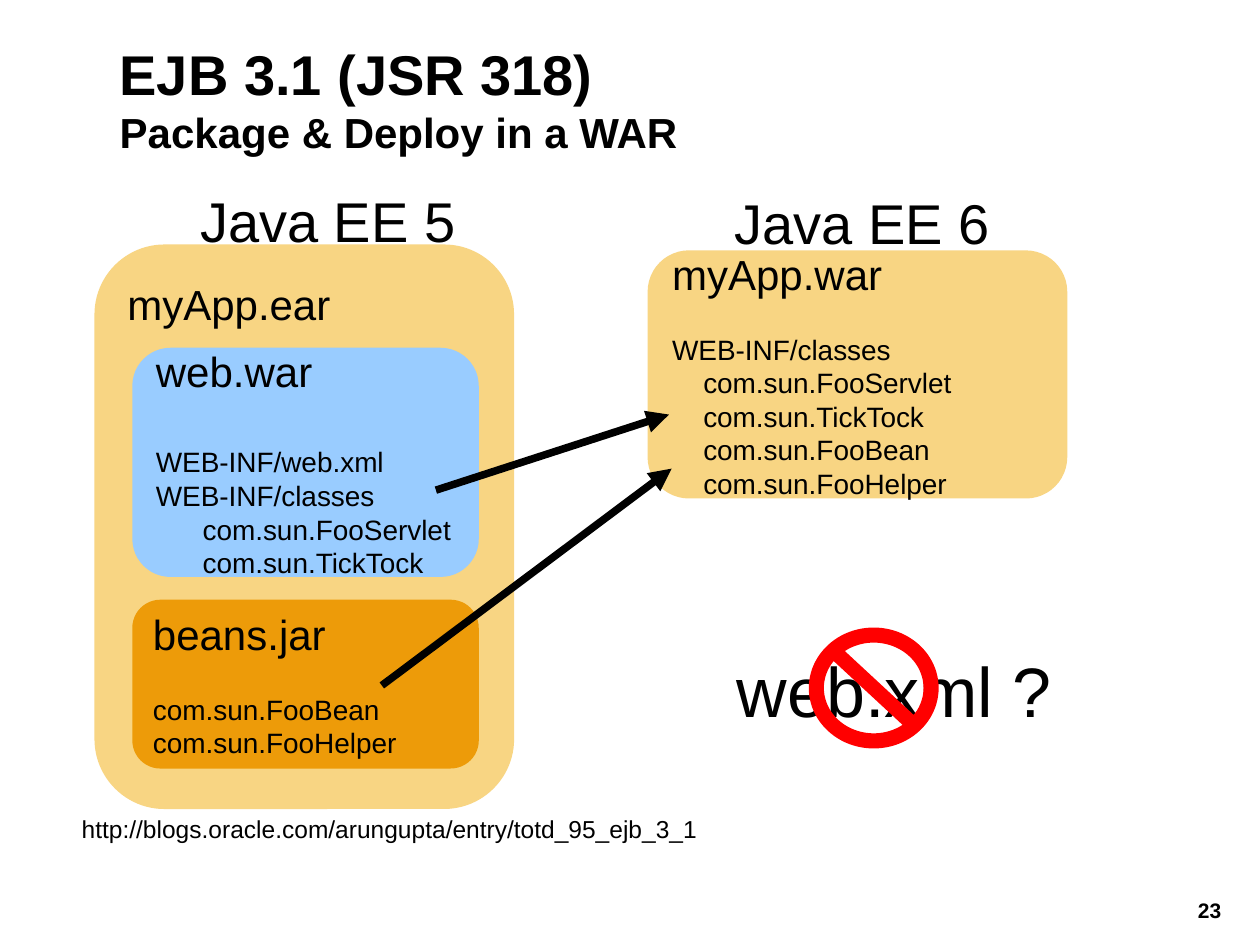
from lxml.etree import SubElement
from pptx import Presentation
from pptx.dml.color import RGBColor
from pptx.enum.shapes import MSO_CONNECTOR, MSO_SHAPE as Shape
from pptx.enum.text import MSO_ANCHOR as Anchor, MSO_AUTO_SIZE as AutoSize, PP_ALIGN as Align
from pptx.oxml.ns import qn
from pptx.util import Pt

BLACK, SAND, BLUE, AMBER, RED = "000000", "F8D583", "99CCFF", "ED9B09", "FF0000"
HEAD_SIZE, BODY_SIZE = 24, 16


def color(hex_code):
    return RGBColor.from_string(hex_code)


def add_run(paragraph, text, size, bold=False):
    run = paragraph.add_run()
    run.text = text
    run.font.name = "Arial"
    run.font.size = Pt(size)
    run.font.bold = bold
    run.font.color.rgb = color(BLACK)


def add_title(slide, heading, subheading):
    title = slide.shapes.title
    title.left, title.top, title.width, title.height = Pt(61.2), Pt(20.9), Pt(596.9), Pt(70.6)
    frame = title.text_frame
    frame.auto_size = AutoSize.NONE
    frame.vertical_anchor = Anchor.MIDDLE
    paragraph = frame.paragraphs[0]
    paragraph.alignment = Align.LEFT
    add_run(paragraph, heading, 32, bold=True)
    paragraph.add_line_break()
    add_run(paragraph, subheading, 24, bold=True)


def add_label(slide, text, left, top, width, height, size):
    label = slide.shapes.add_textbox(Pt(left), Pt(top), Pt(width), Pt(height))
    label.text_frame.word_wrap = False
    paragraph = label.text_frame.paragraphs[0]
    add_run(paragraph, text, size)
    return paragraph


def add_filled(slide, kind, left, top, width, height, fill):
    shape = slide.shapes.add_shape(kind, Pt(left), Pt(top), Pt(width), Pt(height))
    shape.shadow.inherit = False
    shape.fill.solid()
    shape.fill.fore_color.rgb = color(fill)
    shape.line.fill.background()
    return shape


def add_archive(slide, name, place, fill, entries=(), gap=0, indent=0):
    """Rounded box with an archive name and (level, entry) lines under it."""
    archive = add_filled(slide, Shape.ROUNDED_RECTANGLE, *place, fill)
    frame = archive.text_frame
    frame.word_wrap = True
    frame.vertical_anchor = Anchor.MIDDLE
    heading = frame.paragraphs[0]
    heading.alignment = Align.LEFT
    add_run(heading, name, HEAD_SIZE)
    for index, (level, entry) in enumerate(entries):
        paragraph = frame.add_paragraph()
        paragraph.alignment = Align.LEFT
        if index == 0:
            paragraph.space_before = Pt(gap)
        if level:
            paragraph._p.get_or_add_pPr().set("marL", str(Pt(indent)))
        add_run(paragraph, entry, BODY_SIZE)
    return archive


def add_arrow(slide, start, end):
    x1, y1, x2, y2 = map(Pt, start + end)
    arrow = slide.shapes.add_connector(MSO_CONNECTOR.STRAIGHT, x1, y1, x2, y2)
    arrow.line.color.rgb = color(BLACK)
    arrow.line.width = Pt(4.31)
    SubElement(arrow.line._get_or_add_ln(), qn("a:tailEnd"), type="triangle")
    SubElement(arrow._element.spPr, qn("a:effectLst"))


def main():
    deck = Presentation()
    deck.slide_width, deck.slide_height = Pt(720), Pt(540)
    slide = deck.slides.add_slide(deck.slide_layouts[5])

    # Title and page number
    add_title(slide, "EJB 3.1 (JSR 318)", "Package & Deploy in a WAR")
    page = slide.shapes.add_textbox(Pt(673.2), Pt(511.2), Pt(36), Pt(20.2))
    page.text_frame.word_wrap = True
    number = page.text_frame.paragraphs[0]
    number.alignment = Align.CENTER
    number.line_spacing = 0.9
    add_run(number, "23", 12, bold=True)

    # Java EE 5: an ear that holds a war and a jar
    ear = add_archive(slide, "myApp.ear", (54, 139.7, 239.8, 322.6), SAND)
    ear.text_frame.vertical_anchor = Anchor.TOP
    ear.text_frame.margin_top = Pt(8)
    add_archive(slide, "web.war", (75.6, 198.7, 198, 131), BLUE,
                [(0, "WEB-INF/web.xml"), (0, "WEB-INF/classes"),
                 (1, "com.sun.FooServlet"), (1, "com.sun.TickTock")],
                gap=28, indent=26.7)
    add_archive(slide, "beans.jar", (75.6, 342.7, 198, 96.5), AMBER,
                [(0, "com.sun.FooBean"), (0, "com.sun.FooHelper")], gap=19)

    # Java EE 6: one war
    add_archive(slide, "myApp.war", (370.1, 143.1, 239.8, 141.8), SAND,
                [(0, "WEB-INF/classes"), (1, "com.sun.FooServlet"),
                 (1, "com.sun.TickTock"), (1, "com.sun.FooBean"),
                 (1, "com.sun.FooHelper")], gap=19, indent=17.8)

    # Descriptor no longer needed
    add_label(slide, "web.xml ?", 414, 366.5, 195.1, 55.4, 40)
    ban = add_filled(slide, Shape.NO_SYMBOL, 462.2, 358.6, 74.2, 69.1, RED)
    ban.adjustments[0] = 0.125

    # Column headings
    add_label(slide, "Java EE 5", 107.3, 103, 164.9, 46.8, 32)
    add_label(slide, "Java EE 6", 412.6, 104.4, 180.7, 46.8, 32)

    # Moves from the old archives into the new one
    add_arrow(slide, (249.1, 280.1), (382.3, 236.9))
    add_arrow(slide, (218.2, 391.7), (383.8, 267.8))

    # Reference
    add_label(slide, "http://blogs.oracle.com/arungupta/entry/totd_95_ejb_3_1",
              39.6, 461.5, 366.5, 28.1, 14)

    deck.save("out.pptx")


if __name__ == "__main__":
    main()
